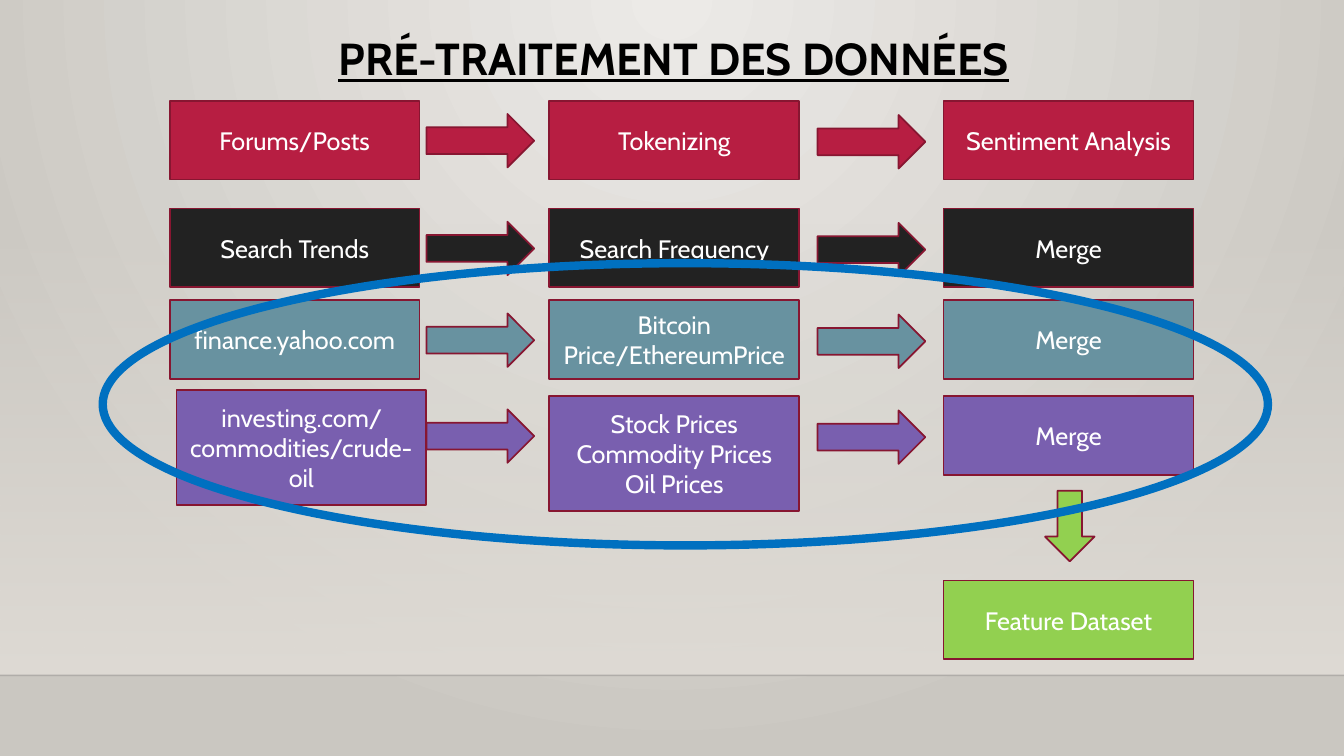
import lxml.etree
import pptx
import pptx.dml.color
import pptx.enum.shapes
import pptx.enum.text
import pptx.oxml.ns
import pptx.util

Pt = pptx.util.Pt
Kind = pptx.enum.shapes.MSO_SHAPE
qn = pptx.oxml.ns.qn


def tint(code):
    return pptx.dml.color.RGBColor.from_string(code)


def add(node, tag, **attrs):
    return lxml.etree.SubElement(node, qn(tag), attrs)


class Board:
    font = "Cabin"
    edge = "871631"
    wide = 178.5
    high = 56.2

    def __init__(self, slide):
        self.slide = slide

    def blend(self, fill, first, last):
        fill.gradient()
        for stop, code in zip(fill.gradient_stops, (first, last)):
            stop.color.rgb = tint(code)

    def back(self, first, last):
        self.blend(self.slide.background.fill, first, last)
        grad = self.slide.element.find(".//" + qn("a:gradFill"))
        grad.remove(grad.find(qn("a:lin")))
        ring = add(grad, "a:path", path="circle")
        add(ring, "a:fillToRect", l="43000", t="0", r="43000", b="100000")

    def shape(self, kind, x, y, w, h, fill=None, edge=None, thick=1.25):
        item = self.slide.shapes.add_shape(kind, Pt(x), Pt(y), Pt(w), Pt(h))
        item.shadow.inherit = False
        if fill:
            item.fill.solid()
            item.fill.fore_color.rgb = tint(fill)
        else:
            item.fill.background()
        item.line.color.rgb = tint(edge or self.edge)
        item.line.width = Pt(thick)
        return item

    def fade(self, x, y, w, h, code):
        item = self.shape(Kind.RECTANGLE, x, y, w, h)
        item.line.fill.background()
        self.blend(item.fill, code, code)
        item.fill.gradient_angle = 270
        first = item.element.find(".//" + qn("a:srgbClr"))
        add(first, "a:alpha", val="0")

    def rule(self, x, y, end, code):
        link = self.slide.shapes.add_connector(
            pptx.enum.shapes.MSO_CONNECTOR.STRAIGHT, Pt(x), Pt(y), Pt(end), Pt(y))
        link.line.color.rgb = tint(code)
        link.line.width = Pt(1)
        add(link.element.find(".//" + qn("a:srgbClr")), "a:alpha", val="20000")
        add(link.element.spPr, "a:effectLst")

    def label(self, item, text, size, code, bold=False):
        frame = item.text_frame
        frame.word_wrap = True
        frame.text = text
        for para in frame.paragraphs:
            para.alignment = pptx.enum.text.PP_ALIGN.CENTER
            for run in para.runs:
                run.font.name = self.font
                run.font.size = Pt(size)
                run.font.color.rgb = tint(code)
                run.font.bold = bold
                run.font.underline = bold

    def title(self, x, y, w, h, text):
        item = self.slide.shapes.add_textbox(Pt(x), Pt(y), Pt(w), Pt(h))
        self.label(item, text, 32, "000000", True)

    def box(self, x, y, fill, text, h=high):
        item = self.shape(Kind.RECTANGLE, x, y, self.wide, h, fill)
        item.text_frame.vertical_anchor = pptx.enum.text.MSO_ANCHOR.MIDDLE
        self.label(item, text, 18, "FFFFFF")

    def arrow(self, x, y, fill):
        self.shape(Kind.RIGHT_ARROW, x, y, 77, 38.2, fill)


def main():
    deck = pptx.Presentation()
    deck.slide_width, deck.slide_height = Pt(960), Pt(540)
    board = Board(deck.slides.add_slide(deck.slide_layouts[6]))
    board.back("ECEAE7", "CAC7C1")
    board.fade(0, 159, 960, 323.4, "DFDBD5")
    board.rule(0, 482.4, 960, "000001")
    board.title(180.7, 18.7, 601.2, 46, "PRÉ-TRAITEMENT DES DONNÉES")

    cols = (121.2, 392.4, 674)
    tall = 82
    rows = (
        (72, "B71E42", ("Forums/Posts", "Tokenizing", "Sentiment Analysis")),
        (149, "222222", ("Search Trends", "Search Frequency", "Merge")),
        (214.5, "6892A0", ("finance.yahoo.com", "Bitcoin Price/EthereumPrice", "Merge")),
    )
    for top, hue, names in rows:
        for left, name in zip(cols, names):
            board.box(left, top, hue, name)

    last, plum = 283, "795FAF"
    board.box(126, 278.6, plum, "investing.com/commodities/crude-oil", tall)
    board.box(cols[1], last, plum, "Stock Prices\nCommodity Prices\nOil Prices", tall)
    board.box(cols[2], last, plum, "Merge")

    for top, hue in [row[:2] for row in rows] + [(last, plum)]:
        board.arrow(304.6, top + 9.4, hue)
        board.arrow(584, top + 10.2, hue)

    lime = "92D050"
    board.box(cols[2], 414.7, lime, "Feature Dataset")
    board.shape(Kind.DOWN_ARROW, 746.5, 350.6, 35.3, 50.4, lime)
    board.shape(Kind.OVAL, 73.4, 188, 832.3, 201.6, edge="0070C0", thick=6)
    deck.save("out.pptx")


if __name__ == "__main__":
    main()
